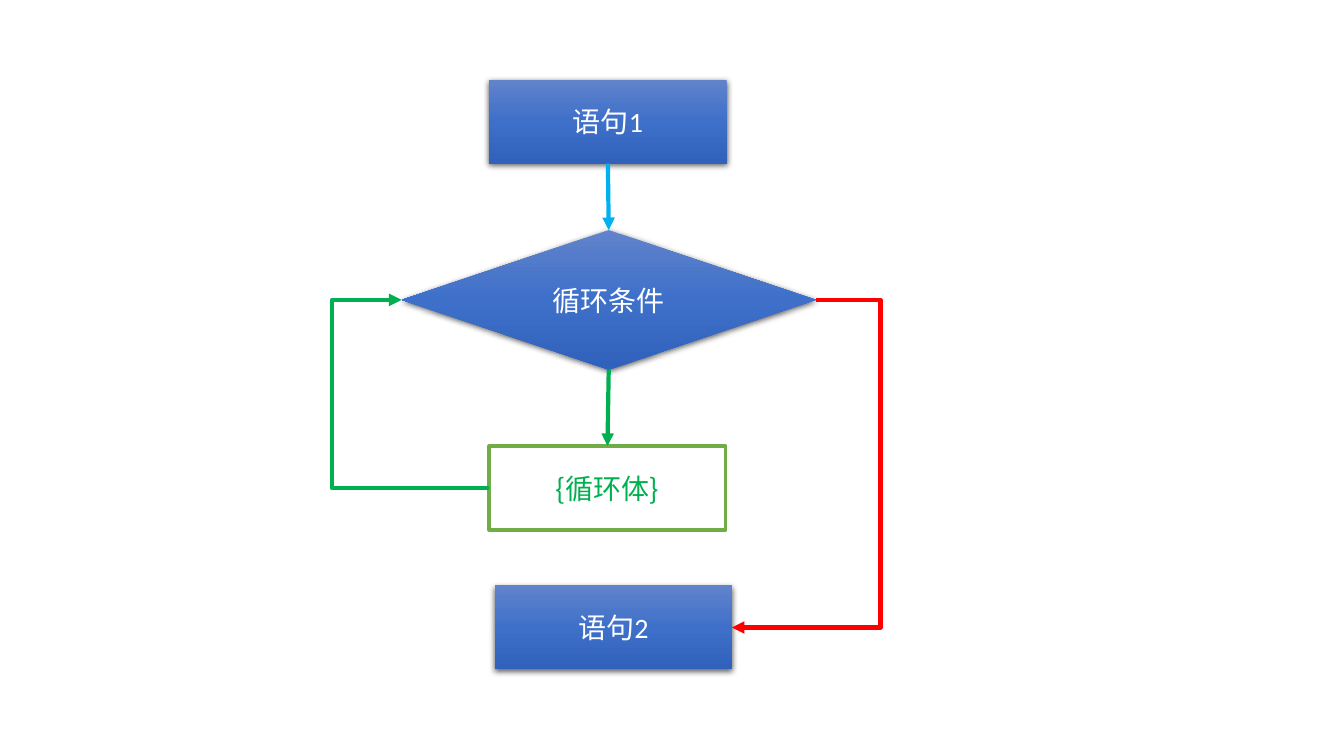
"""Flowchart of a loop: statement, condition, loop body and next statement."""
from copy import deepcopy

from lxml import etree
from pptx import Presentation
from pptx.dml.color import RGBColor
from pptx.enum.shapes import MSO_CONNECTOR as LINK, MSO_SHAPE as SHAPE
from pptx.enum.text import MSO_ANCHOR as ANCHOR, PP_ALIGN as ALIGN
from pptx.oxml import parse_xml
from pptx.oxml.ns import nsdecls, qn
from pptx.util import Inches, Pt

TOP, LEFT, BOTTOM, RIGHT = range(4)


def rgb(value):
    return RGBColor.from_string(value)


class Flow:
    """Holds the style, the slide and a grid of 160 columns by 90 rows."""
    gradient = ((0, "6183CB"), (0.5, "3E70CA"), (1, "3062BB"))
    white, green, outline = "FFFFFF", "00B050", "70AD47"
    blue, red = "00B0F0", "FF0000"
    latin, cjk, size = "Calibri", "Noto Sans CJK SC", 20

    def __init__(self, prs):
        self.cell = prs.slide_height / 90
        self.s = prs.slides.add_slide(prs.slide_layouts[6])

    def grid(self, *cells):
        return [round(n * self.cell) for n in cells]

    def box(self, kind, text, place, color=white, font=latin):
        sp = self.s.shapes.add_shape(kind, *self.grid(*place))
        sp.shadow.inherit = False
        sp.line.fill.background()
        tf = sp.text_frame
        tf.text = text
        tf.word_wrap = True
        tf.vertical_anchor = ANCHOR.MIDDLE
        p = tf.paragraphs[0]
        p.alignment = ALIGN.CENTER
        f = p.runs[0].font
        f.name, f.size, f.color.rgb = font, Pt(self.size), rgb(color)
        return sp

    def solid(self, kind, text, place):
        sp = self.box(kind, text, place)
        sp.fill.gradient()
        sp.fill.gradient_angle = 270
        spPr = sp._element.spPr
        stops = next(spPr.iter(qn("a:gsLst")))
        stops.append(deepcopy(stops[0]))
        for stop, (position, color) in zip(sp.fill.gradient_stops, self.gradient):
            stop.position, stop.color.rgb = position, rgb(color)
        spPr.find(qn("a:effectLst")).append(parse_xml(
            f'<a:outerShdw {nsdecls("a")} blurRad="{Pt(4.5)}" dist="{Pt(1.5)}" '
            'dir="5400000" algn="ctr" rotWithShape="0"><a:srgbClr val="000000">'
            '<a:alpha val="63000"/></a:srgbClr></a:outerShdw>'))
        return sp

    def outlined(self, kind, text, place):
        sp = self.box(kind, text, place, self.green, self.cjk)
        sp.fill.solid()
        sp.fill.fore_color.rgb = rgb(self.white)
        sp.line.color.rgb, sp.line.width = rgb(self.outline), Pt(2.25)
        return sp

    def arrow(self, start, start_side, end, end_side, color, via=None):
        kind = LINK.STRAIGHT if via is None else LINK.ELBOW
        link = self.s.shapes.add_connector(kind, 0, 0, 0, 0)
        link.begin_connect(start, start_side)
        link.end_connect(end, end_side)
        link.line.color.rgb, link.line.width = rgb(color), Pt(3)
        spPr = link._element.spPr
        etree.SubElement(spPr.find(qn("a:ln")), qn("a:tailEnd"), type="triangle")
        etree.SubElement(spPr, qn("a:effectLst"))
        if via is not None:
            bend = (self.grid(via)[0] - link.begin_x) / (link.end_x - link.begin_x)
            guides = next(spPr.iter(qn("a:avLst")))
            etree.SubElement(guides, qn("a:gd"), name="adj1",
                             fmla=f"val {round(bend * 100000)}")


prs = Presentation()
prs.slide_width, prs.slide_height = Inches(13.33), Inches(7.5)
flow = Flow(prs)

first = flow.solid(SHAPE.RECTANGLE, "语句1", (58.2, 9.48, 28.3, 10))
condition = flow.solid(SHAPE.DIAMOND, "循环条件", (47.8, 27.4, 49.3, 16.6))
tf = condition.text_frame
tf.margin_left = tf.margin_right = Inches(0.04)
tf.margin_top = tf.margin_bottom = 0
body = flow.outlined(SHAPE.RECTANGLE, "{循环体}", (58.2, 53.1, 28.2, 10))
second = flow.solid(SHAPE.RECTANGLE, "语句2", (58.9, 69.7, 28.2, 10))

flow.arrow(first, BOTTOM, condition, TOP, flow.blue)
flow.arrow(condition, BOTTOM, body, TOP, flow.green)
flow.arrow(condition, RIGHT, second, RIGHT, flow.red, via=104.8)
flow.arrow(body, LEFT, condition, LEFT, flow.green, via=39.5)

prs.save("out.pptx")
